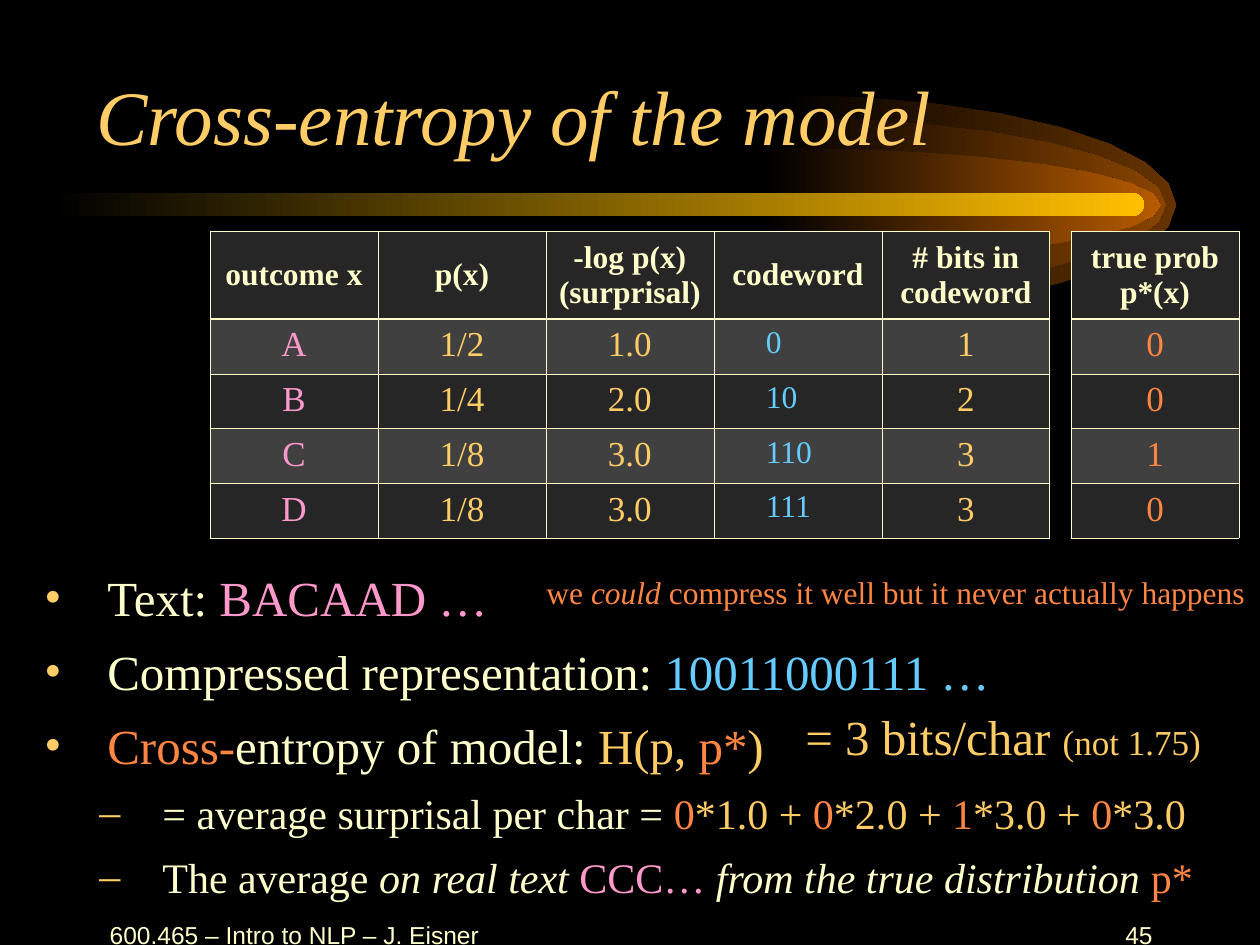
from dataclasses import dataclass
from math import cos, pi, sin

from lxml.etree import SubElement
from pptx import Presentation
from pptx.dml.color import RGBColor
from pptx.enum.shapes import MSO_SHAPE as Preset
from pptx.enum.text import MSO_ANCHOR as Anchor, PP_ALIGN as Align
from pptx.oxml.ns import qn
from pptx.util import Pt

EMU_PER_PX = 914400 / 126


@dataclass(frozen=True)
class Theme:
    black: str = "000000"
    cream: str = "FFFFCC"
    gold: str = "FFCC66"
    pink: str = "FF99CC"
    blue: str = "66CCFF"
    orange: str = "FF8542"
    dark_row: str = "262626"
    light_row: str = "404040"
    bar: str = "FFBF00"
    comet: tuple = ("663300", "894400", "B75B00")
    serif: str = "Times New Roman"
    sans: str = "Arial"
    title: int = 44
    body: int = 28
    detail: int = 24
    cell: int = 20
    small: int = 18
    footer: int = 14


T = Theme()


def px(length):
    return round(length * EMU_PER_PX)


def rgb(value):
    return RGBColor.from_string(value)


def style(font, size, color, face=T.serif, bold=False, italic=False):
    font.size, font.name, font.bold, font.italic = Pt(size), face, bold, italic
    font.color.rgb = rgb(color)


def add_runs(paragraph, pieces):
    """Add (text, size, color[, italic]) pieces as formatted runs."""
    for text, size, color, *italic in pieces:
        run = paragraph.add_run()
        run.text = text
        style(run.font, size, color, italic=bool(italic and italic[0]))


def fade(shape, color):
    shape.shadow.inherit = False
    shape.line.fill.background()
    shape.fill.gradient()
    shape.fill.gradient_angle = 0
    for stop, shade in zip(shape.fill.gradient_stops, (T.black, color)):
        stop.color.rgb = rgb(shade)


def add_comet(slide):
    center_y, radius_x, steps = 205, 395, 16
    for center_x, radius_y, color in zip((781, 771, 766), (110, 88, 57), T.comet):
        angles = [pi * step / steps - pi / 2 for step in range(steps + 1)]
        rim = [(px(center_x + radius_x * cos(a)), px(center_y + radius_y * sin(a)))
               for a in angles]
        builder = slide.shapes.build_freeform(*rim[0])
        builder.add_line_segments(rim[1:], close=True)
        fade(builder.convert_to_shape(), color)
    bar = slide.shapes.add_shape(Preset.ROUNDED_RECTANGLE, px(53), px(193), px(1091), px(23))
    bar.adjustments[0] = 0.5
    fade(bar, T.bar)


def add_title(slide, text):
    title = slide.shapes.title
    title.left, title.top, title.width, title.height = px(84), px(10), px(1071), px(157)
    frame = title.text_frame
    frame.text, frame.vertical_anchor = text, Anchor.BOTTOM
    frame.paragraphs[0].alignment = Align.LEFT
    style(frame.paragraphs[0].runs[0].font, T.title, T.gold, italic=True)
    slide.shapes._spTree.append(title._element)


def add_text(slide, left, top, width, height):
    frame = slide.shapes.add_textbox(px(left), px(top), px(width), px(height)).text_frame
    frame.word_wrap = True
    return frame


def add_footer(slide, text, left, width, align):
    frame = add_text(slide, left, 903, width, 63)
    frame.text, frame.vertical_anchor = text, Anchor.MIDDLE
    frame.paragraphs[0].alignment = align
    style(frame.paragraphs[0].runs[0].font, T.footer, T.cream, T.sans)


def add_borders(cell, row):
    thick_sides = {0: "lnB", 1: "lnT"}
    properties = cell._tc.get_or_add_tcPr()
    for side in ("lnL", "lnR", "lnT", "lnB"):
        width = 1.47 if thick_sides.get(row) == side else 0.45
        line = SubElement(properties, qn(f"a:{side}"), w=str(Pt(width)))
        SubElement(SubElement(line, qn("a:solidFill")), qn("a:srgbClr"), val=T.cream)


def fill_cell(cell, row, text, color):
    is_code = color == T.blue and row > 0
    cell.text = text
    cell.vertical_anchor = Anchor.TOP if row else Anchor.MIDDLE
    if is_code:
        cell.margin_left = px(52)
    for paragraph in cell.text_frame.paragraphs:
        paragraph.alignment = Align.LEFT if is_code else Align.CENTER
        size = T.small if is_code or row == 0 else T.cell
        style(paragraph.runs[0].font, size, color if row else T.cream, bold=row == 0)
    add_borders(cell, row)
    cell.fill.solid()
    cell.fill.fore_color.rgb = rgb(T.light_row if row % 2 else T.dark_row)


def add_grid(slide, left, rows, colors):
    column_width, height, header = 168, 307, 88
    row_height = (height - header) / (len(rows) - 1)
    table = slide.shapes.add_table(len(rows), len(colors), px(left), px(231),
                                   px(column_width * len(colors)), px(height)).table
    table.first_row = table.horz_banding = False
    for column in table.columns:
        column.width = px(column_width)
    for row, values in enumerate(rows):
        table.rows[row].height = px(row_height if row else header)
        for column, (value, color) in enumerate(zip(values, colors)):
            fill_cell(table.cell(row, column), row, value, color)


def add_bullet(paragraph, mark, indent, space):
    properties = paragraph._p.get_or_add_pPr()
    properties.set("marL", str(px(indent)))
    properties.set("indent", str(px(-63)))
    SubElement(SubElement(properties, qn("a:buClr")), qn("a:srgbClr"), val=T.gold)
    SubElement(properties, qn("a:buFont"), typeface=T.serif)
    SubElement(properties, qn("a:buChar"), char=mark)
    if space:
        paragraph.space_before = Pt(space)


def add_bullets(slide, points):
    frame = add_text(slide, 32, 561, 1228, 396)
    for number, (level, pieces) in enumerate(points):
        paragraph = frame.add_paragraph() if number else frame.paragraphs[0]
        mark, indent, space, size = (("•", 63, 8.75, T.body),
                                     ("–", 118, 7.5, T.detail))[level]
        paragraph.level = level
        add_bullet(paragraph, mark, indent, space if number else 0)
        add_runs(paragraph, [(text, size, *look) for text, *look in pieces])


def main():
    deck = Presentation()
    deck.slide_width, deck.slide_height = px(1260), px(945)
    slide = deck.slides.add_slide(deck.slide_layouts[5])
    slide.background.fill.solid()
    slide.background.fill.fore_color.rgb = rgb(T.black)
    add_comet(slide)
    add_title(slide, "Cross-entropy of the model")
    add_footer(slide, "600.465 – Intro to NLP – J. Eisner", 95, 399, Align.CENTER)
    add_footer(slide, "45", 903, 262, Align.RIGHT)
    add_grid(slide, 210, [
        ("outcome x", "p(x)", "-log p(x)\n(surprisal)", "codeword", "# bits in codeword"),
        ("A", "1/2", "1.0", "0", "1"),
        ("B", "1/4", "2.0", "10", "2"),
        ("C", "1/8", "3.0", "110", "3"),
        ("D", "1/8", "3.0", "111", "3"),
    ], (T.pink, T.gold, T.gold, T.blue, T.gold))
    weighted_sum = [("= average surprisal per char = ", T.cream)]
    for true_prob, term in zip("0010", ("*1.0 + ", "*2.0 + ", "*3.0 + ", "*3.0")):
        weighted_sum += [(true_prob, T.orange), (term, T.gold)]
    add_bullets(slide, [
        (0, [("Text: ", T.cream), ("BACAAD …", T.pink)]),
        (0, [("Compressed representation: ", T.cream), ("10011000111 …", T.blue)]),
        (0, [("Cross-", T.orange), ("entropy of model: ", T.cream), ("H(p, ", T.gold),
             ("p*", T.orange), (")", T.gold)]),
        (1, weighted_sum),
        (1, [("The average ", T.cream), ("on real text ", T.cream, True), ("CCC… ", T.pink),
             ("from the true distribution ", T.cream, True), ("p*", T.orange)]),
    ])
    add_grid(slide, 1071, [["true prob p*(x)"], *"0010"], [T.orange])
    remark = add_text(slide, 534, 567, 726, 50)
    add_runs(remark.paragraphs[0], [
        ("we ", T.small, T.orange), ("could", T.small, T.orange, True),
        (" compress it well but it never actually happens", T.small, T.orange)])
    result = add_text(slide, 793, 700, 447, 72)
    add_runs(result.paragraphs[0], [
        ("= 3 bits/char ", T.body, T.gold), ("(not 1.75)", T.cell, T.gold)])
    deck.save("out.pptx")


if __name__ == "__main__":
    main()
